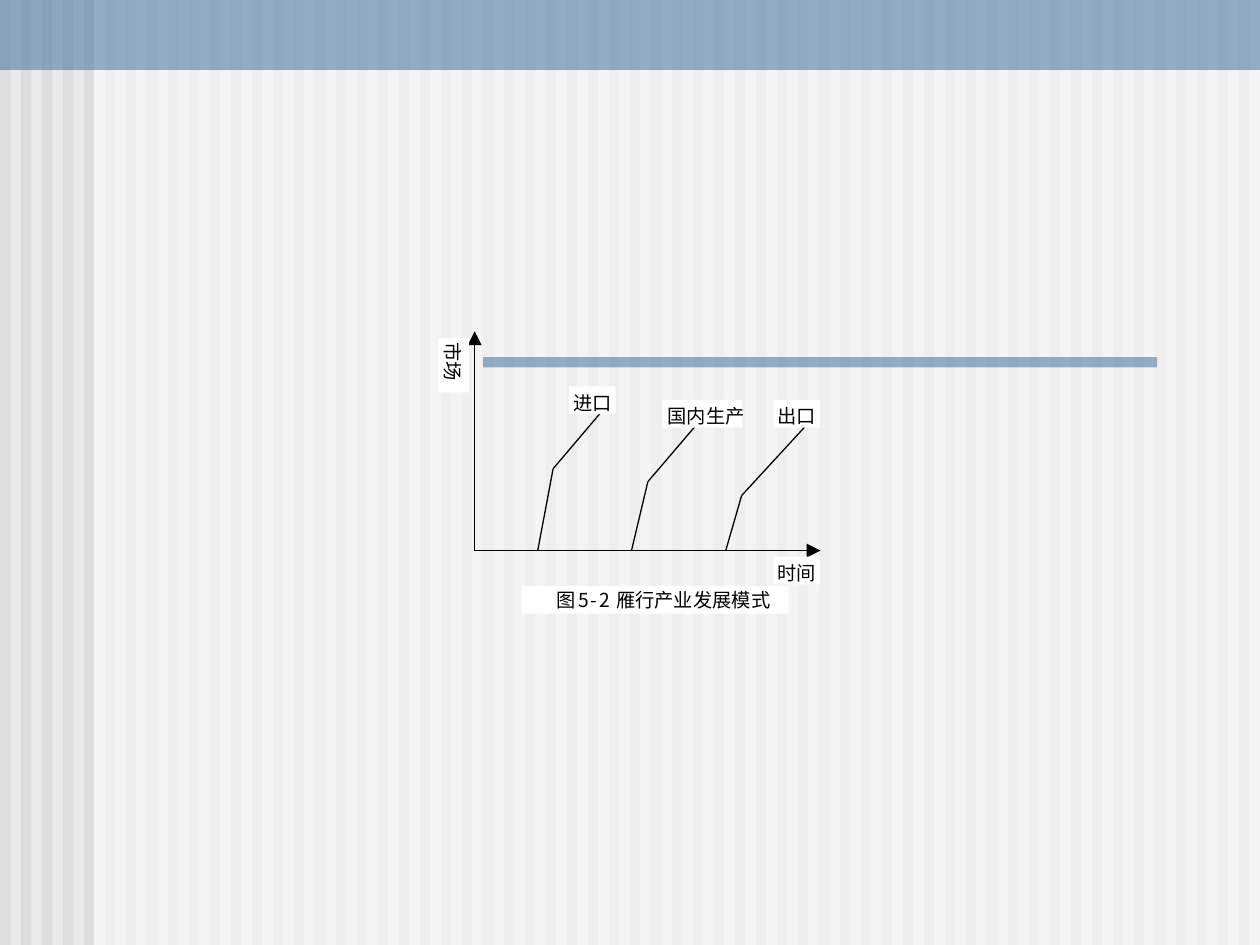
from typing import NamedTuple

from lxml import etree
from pptx import Presentation
from pptx import util as u
from pptx.dml.color import RGBColor
from pptx.enum import shapes, text
from pptx.oxml.ns import qn

FONT = "Noto Sans CJK SC"
COLORS = {
    "background": "EAEAEA",
    "stripe": "DDDDDD",
    "white": "FFFFFF",
    "blue": "336699",
    "black": "000000",
}
SLIDE_WIDTH, SLIDE_HEIGHT = 25.4, 19.05
STRIPE_COUNT = 60
TEXT_HEIGHT = 0.46


class Point(NamedTuple):
    x: float
    y: float


class Box(NamedTuple):
    left: float
    top: float
    width: float
    height: float


class Label(NamedTuple):
    words: str
    plate: Box
    text_at: Point
    text_width: float
    rotation: float = 0


class Curve(NamedTuple):
    foot: Point
    knee: Point
    tip: Point


class Piece(NamedTuple):
    words: str
    left: float
    width: float


ORIGIN = Point(9.57, 11.1)
AXIS_TOP = Point(9.57, 6.96)
AXIS_RIGHT = Point(16.26, 11.1)
HEAD_LENGTH, HEAD_HALF = 0.28, 0.14

CURVES = [
    Curve(Point(10.84, ORIGIN.y), Point(11.15, 9.45), Point(12.1, 8.33)),
    Curve(Point(12.73, ORIGIN.y), Point(13.06, 9.71), Point(14, 8.61)),
    Curve(Point(14.63, ORIGIN.y), Point(14.95, 9.99), Point(16.22, 8.61)),
]
LABELS = [
    Label("时间", Box(15.59, 11.22, 0.94, 0.56), Point(15.67, 11.31), 0.8),
    Label("国内生产", Box(13.36, 8.06, 1.6, 0.56), Point(13.46, 8.15), 1.65),
    Label("出口", Box(15.59, 8.06, 0.94, 0.56), Point(15.67, 8.15), 0.8),
    Label("进口", Box(11.47, 7.79, 0.94, 0.56), Point(11.56, 7.88), 0.8),
    Label("市场", Box(8.84, 6.81, 0.62, 1.1), Point(8.74, 7.07), 0.8, 90),
]
CAPTION_PLATE = Box(10.52, 11.81, 5.38, 0.56)
CAPTION_TOP = 11.86
CAPTION = [
    Piece("图", 11.21, 0.4),
    Piece("5", 11.66, 0.23),
    Piece("-", 11.91, 0.14),
    Piece("2", 12.09, 0.33),
    Piece("雁行产业发展模式", 12.42, 3.2),
]


def rgb(name: str) -> RGBColor:
    return RGBColor.from_string(COLORS[name])


def paint(shape, color: str, opacity: int = 100) -> None:
    """Give a shape a plain fill without line or shadow."""
    shape.shadow.inherit = False
    shape.line.fill.background()
    shape.fill.solid()
    shape.fill.fore_color.rgb = rgb(color)
    if opacity < 100:
        color_element = shape.fill._xPr.find(qn("a:solidFill"))[0]
        etree.SubElement(color_element, qn("a:alpha"), val=str(opacity * 1000))


def add_rectangle(slide, box: Box, color: str, opacity: int = 100) -> None:
    shape = slide.shapes.add_shape(
        shapes.MSO_SHAPE.RECTANGLE, *(u.Cm(length) for length in box))
    paint(shape, color, opacity)


def add_line(slide, start: Point, end: Point) -> None:
    connector = slide.shapes.add_connector(
        shapes.MSO_CONNECTOR.STRAIGHT,
        *(u.Cm(length) for length in (*start, *end)))
    connector.line.color.rgb = rgb("black")
    connector.line.width = u.Pt(0.75)
    etree.SubElement(connector._element.spPr, qn("a:effectLst"))


def add_axis(slide, end: Point) -> None:
    """Draw an axis from the origin with a solid triangle at its end."""
    add_line(slide, ORIGIN, end)
    if end.x == ORIGIN.x:
        corners = [(end.x + HEAD_HALF, end.y), (end.x, end.y - HEAD_LENGTH),
                   (end.x - HEAD_HALF, end.y)]
    else:
        corners = [(end.x, end.y + HEAD_HALF), (end.x + HEAD_LENGTH, end.y),
                   (end.x, end.y - HEAD_HALF)]
    first, *rest = [(u.Cm(x), u.Cm(y)) for x, y in corners]
    builder = slide.shapes.build_freeform(*first)
    builder.add_line_segments(rest, close=True)
    paint(builder.convert_to_shape(), "black")


def add_text(slide, words: str, *, box: Box, size: float = 11,
             color: str = "black", rotation: float = 0) -> None:
    shape = slide.shapes.add_textbox(*(u.Cm(length) for length in box))
    shape.rotation = rotation
    frame = shape.text_frame
    frame.margin_left = frame.margin_right = 0
    frame.margin_top = frame.margin_bottom = 0
    frame.word_wrap = False
    frame.auto_size = text.MSO_AUTO_SIZE.SHAPE_TO_FIT_TEXT
    run = frame.paragraphs[0].add_run()
    run.text = words
    run.font.size = u.Pt(size)
    run.font.name = FONT
    run.font.color.rgb = rgb(color)
    etree.SubElement(run.font._element, qn("a:ea"), typeface=FONT)


def draw_backdrop(slide) -> None:
    slide.background.fill.solid()
    slide.background.fill.fore_color.rgb = rgb("background")
    pitch = SLIDE_WIDTH / STRIPE_COUNT
    for index in range(STRIPE_COUNT):
        add_rectangle(slide, Box(index * pitch, 0, pitch / 2, SLIDE_HEIGHT),
                      "stripe")
    veil_left = 1.89
    add_rectangle(slide, Box(veil_left, 0, SLIDE_WIDTH - veil_left,
                             SLIDE_HEIGHT), "white", 50)
    add_rectangle(slide, Box(0, 0, SLIDE_WIDTH, 1.41), "blue", 50)
    add_rectangle(slide, Box(9.74, 7.2, 13.59, 0.21), "blue", 50)


def draw_diagram(slide) -> None:
    # Axes and the three development curves
    for end in (AXIS_TOP, AXIS_RIGHT):
        add_axis(slide, end)
    for curve in CURVES:
        add_line(slide, curve.knee, curve.foot)
        add_line(slide, curve.knee, curve.tip)

    # Labels on white plates
    for label in LABELS:
        add_rectangle(slide, label.plate, "white")
        add_text(slide, label.words, rotation=label.rotation,
                 box=Box(*label.text_at, label.text_width, TEXT_HEIGHT))

    # Caption with widely set figure number
    add_rectangle(slide, CAPTION_PLATE, "white")
    for piece in CAPTION:
        add_text(slide, piece.words,
                 box=Box(piece.left, CAPTION_TOP, piece.width, TEXT_HEIGHT))


def main() -> None:
    presentation = Presentation()
    presentation.slide_width = u.Cm(SLIDE_WIDTH)
    presentation.slide_height = u.Cm(SLIDE_HEIGHT)
    slide = presentation.slides.add_slide(presentation.slide_layouts[6])
    draw_backdrop(slide)
    draw_diagram(slide)
    presentation.save("out.pptx")


if __name__ == "__main__":
    main()
